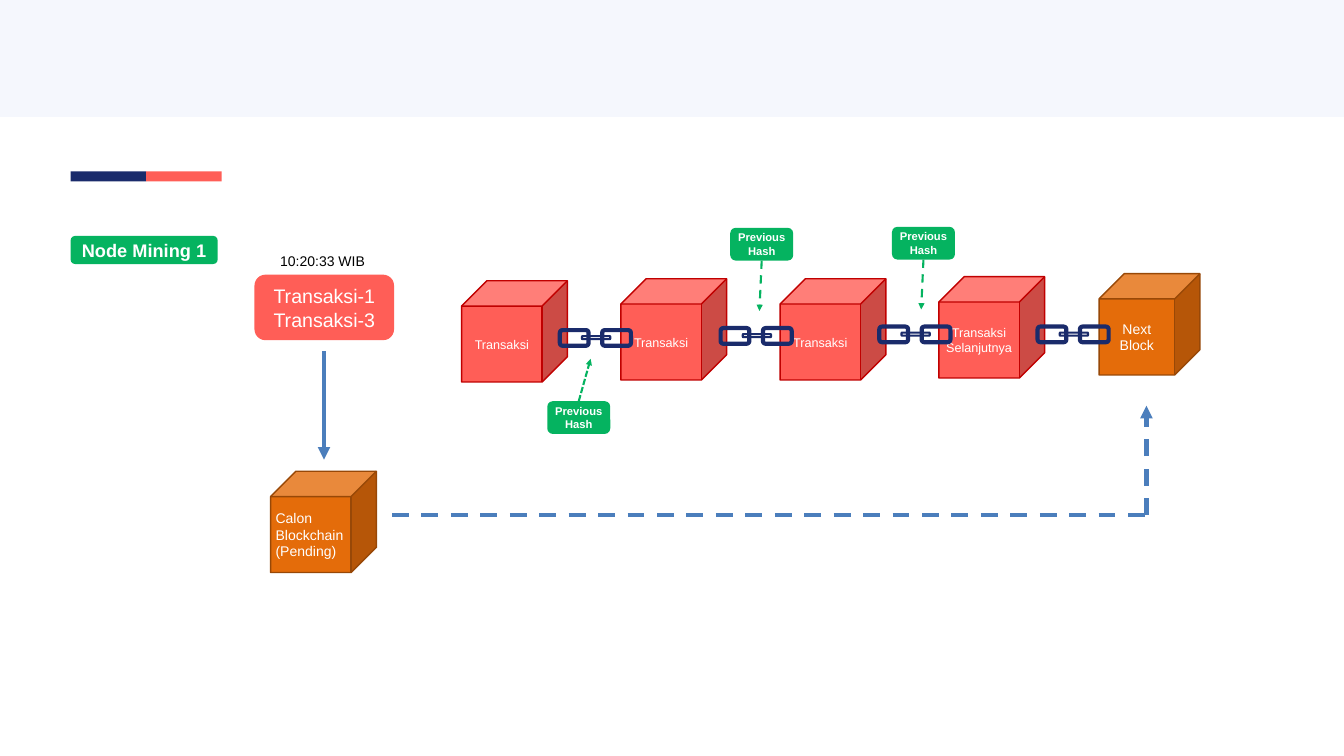
"""Build the slide showing how a mining node appends a pending block to the chain."""
from lxml.etree import SubElement
from pptx import Presentation
from pptx.dml.color import RGBColor
from pptx.enum.dml import MSO_LINE
from pptx.enum.shapes import MSO_CONNECTOR, MSO_SHAPE
from pptx.enum.text import MSO_ANCHOR, PP_ALIGN
from pptx.oxml.ns import qn
from pptx.util import Inches, Pt

NAVY, CORAL, GREEN, ORANGE = "1A2B6B", "FF5E57", "05B360", "E46C0A"
BLUE, RED, BROWN, WHITE, BLACK = "4B7EBC", "C00000", "984807", "FFFFFF", "000000"

BANDS = [
    ((0, 0, 26.67, 2.32), "F5F7FD"),
    ((1.4, 3.4, 1.5, 0.2), NAVY),
    ((2.9, 3.4, 1.5, 0.2), CORAL),
]
NODE = ((1.4, 4.68, 2.92, 0.56), ["Node Mining 1"])
POOL = ((5.05, 5.45, 2.77, 1.3), ["Transaksi-1", "Transaksi-3"])
CLOCK = ((5.46, 4.96, 1.95, 0.44), ["10:20:33 WIB"])

CUBE_HEIGHT = 2.01
BLOCKS = [
    (5.37, 9.35, 2.1, ["Calon", "Blockchain", "(Pending)"], 20, ORANGE, BROWN, PP_ALIGN.LEFT),
    (9.16, 5.57, 2.1, ["Transaksi"], 18, CORAL, RED, PP_ALIGN.CENTER),
    (12.32, 5.53, 2.1, ["Transaksi"], 18, CORAL, RED, PP_ALIGN.CENTER),
    (15.48, 5.53, 2.1, ["Transaksi"], 18, CORAL, RED, PP_ALIGN.CENTER),
    (18.63, 5.49, 2.1, ["Transaksi", "Selanjutnya"], 18, CORAL, RED, PP_ALIGN.CENTER),
    (21.81, 5.43, 2, ["Next", "Block"], 20, ORANGE, BROWN, PP_ALIGN.CENTER),
]

CHAINS = [(11.11, 6.55), (14.3, 6.51), (17.45, 6.48), (20.59, 6.48)]
LINKS = [(0, 0, 0.57, 0.31, 6), (0.84, 0, 0.57, 0.31, 6), (0.44, 0.12, 0.56, 0.06, 3)]

TAG_SIZE = (1.25, 0.65)
TAGS = [
    ((10.86, 7.96), 0, (11.72, 7.12), MSO_LINE.SQUARE_DOT),
    ((14.49, 4.52), 2, (15.07, 6.17), MSO_LINE.DASH),
    ((17.7, 4.5), 2, (18.28, 6.14), MSO_LINE.DASH),
]
ROUTES = [
    ((6.43, 6.97), (6.43, 9.12), None, True),
    ((7.78, 10.22), (22.75, 10.22), MSO_LINE.DASH, False),
    ((22.75, 10.22), (22.75, 8.05), MSO_LINE.DASH, True),
]


def rgb(value):
    return RGBColor.from_string(value)


def write(frame, lines, size, color=WHITE, bold=False, align=PP_ALIGN.CENTER, wrap=True):
    frame.word_wrap = wrap
    frame.vertical_anchor = MSO_ANCHOR.MIDDLE
    frame.text = "\n".join(lines)
    for paragraph in frame.paragraphs:
        paragraph.alignment = align
        for name, value in {"name": "Arial", "size": Pt(size), "bold": bold}.items():
            setattr(paragraph.font, name, value)
        paragraph.font.color.rgb = rgb(color)


def add_box(shapes, kind, place, fill=None, outline=None, weight=0):
    box = shapes.add_shape(kind, *map(Inches, place))
    box.shadow.inherit = False
    if fill:
        box.fill.solid()
        box.fill.fore_color.rgb = rgb(fill)
    else:
        box.fill.background()
    if outline:
        box.line.color.rgb = rgb(outline)
        box.line.width = Pt(weight)
    else:
        box.line.fill.background()
    return box


def add_route(shapes, start, end, color, weight, dash, arrow=True):
    route = shapes.add_connector(MSO_CONNECTOR.STRAIGHT, *map(Inches, (*start, *end)))
    route.line.color.rgb = rgb(color)
    route.line.width = Pt(weight)
    if dash:
        route.line.dash_style = dash
    properties = route._element.spPr
    if arrow:
        SubElement(properties.find(qn("a:ln")), qn("a:tailEnd"), type="triangle")
    SubElement(properties, qn("a:effectLst"))
    return route


def main():
    deck = Presentation()
    deck.slide_width, deck.slide_height = Inches(26.67), Inches(15)
    shapes = deck.slides.add_slide(deck.slide_layouts[6]).shapes

    for place, fill in BANDS:
        add_box(shapes, MSO_SHAPE.RECTANGLE, place, fill)

    mining = shapes.add_group_shape().shapes
    for (place, lines), fill, size, bold in ((NODE, GREEN, 26, True), (POOL, CORAL, 28, False)):
        card = add_box(mining, MSO_SHAPE.ROUNDED_RECTANGLE, place, fill)
        write(card.text_frame, lines, size, bold=bold)
    place, lines = CLOCK
    clock = mining.add_textbox(*map(Inches, place))
    write(clock.text_frame, lines, 20, BLACK, align=PP_ALIGN.LEFT, wrap=False)

    for left, top, width, lines, size, fill, outline, align in BLOCKS:
        block = add_box(shapes, MSO_SHAPE.CUBE, (left, top, width, CUBE_HEIGHT), fill, outline, 2)
        write(block.text_frame, lines, size, align=align)

    for left, top in CHAINS:
        chain = shapes.add_group_shape().shapes
        for dx, dy, width, height, weight in LINKS:
            place = (left + dx, top + dy, width, height)
            add_box(chain, MSO_SHAPE.ROUNDED_RECTANGLE, place, None, NAVY, weight)

    for corner, side, target, dash in TAGS:
        tag = add_box(shapes, MSO_SHAPE.ROUNDED_RECTANGLE, (*corner, *TAG_SIZE), GREEN)
        write(tag.text_frame, ["Previous", "Hash"], 16, bold=True)
        pointer = add_route(shapes, corner, target, GREEN, 3, dash)
        pointer.begin_connect(tag, side)

    for start, end, dash, arrow in ROUTES:
        add_route(shapes, start, end, BLUE, 6, dash, arrow)

    deck.save("out.pptx")


if __name__ == "__main__":
    main()
